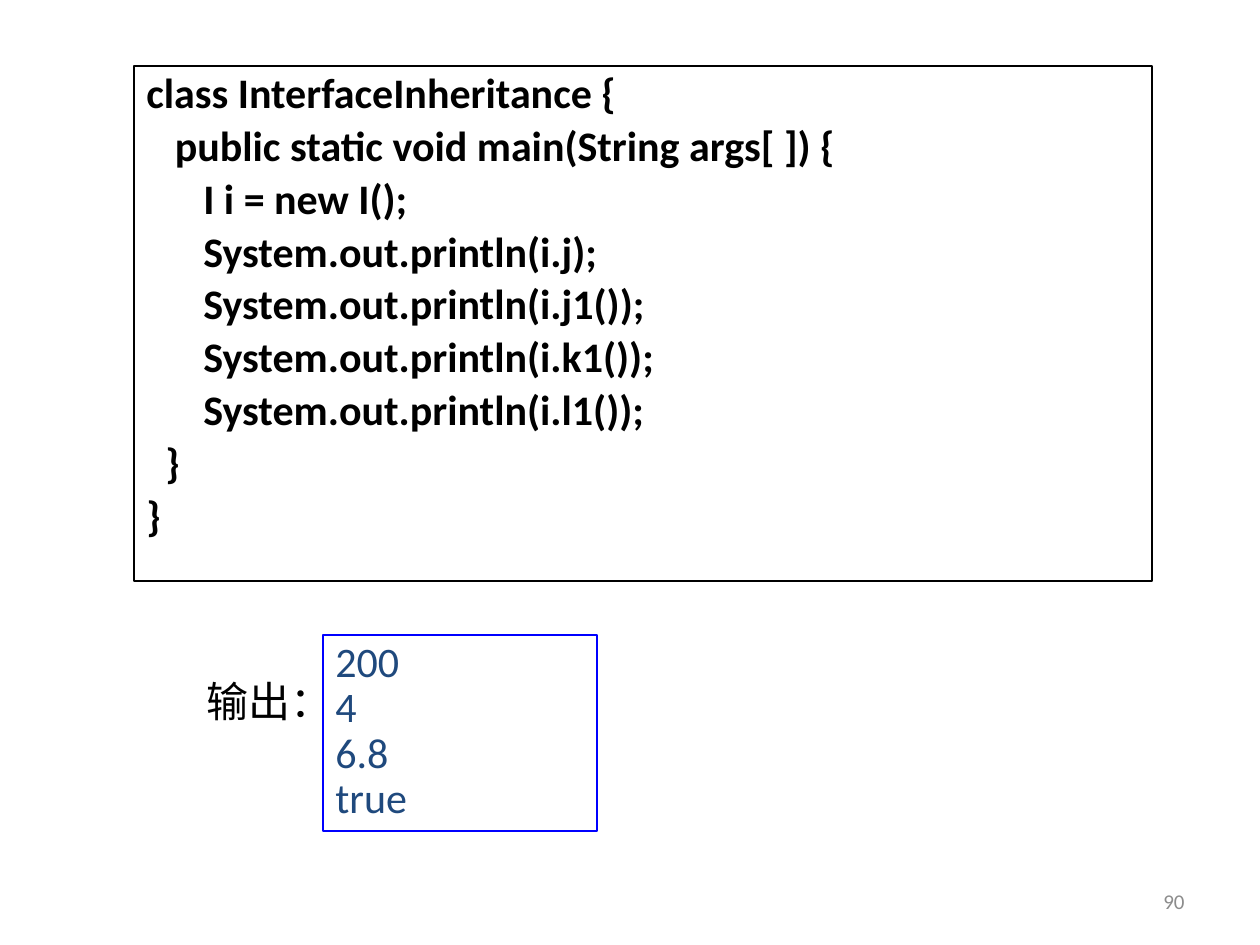
import pptx
import pptx.dml.color
import pptx.enum.text
import pptx.util

COLORS = {"black": "000000", "blue": "0000FF", "navy": "1F497D", "gray": "8C8C8C"}
FONT = "Calibri"
ALIGN = pptx.enum.text.PP_ALIGN
ANCHOR = pptx.enum.text.MSO_ANCHOR

CODE = """class InterfaceInheritance {
   public static void main(String args[ ]) {
      I i = new I();
      System.out.println(i.j);
      System.out.println(i.j1());
      System.out.println(i.k1());
      System.out.println(i.l1());
  }
}"""
OUTPUT = "200\n4\n6.8\ntrue"


def px(length):
    return pptx.util.Emu(round(length * 914400 / 126))


def rgb(name):
    return pptx.dml.color.RGBColor.from_string(COLORS[name])


def write(frame, text, size=24, color="black", bold=False, align=ALIGN.LEFT,
          line_spacing=1.0, space_before=0):
    for index, line in enumerate(text.split("\n")):
        para = frame.add_paragraph() if index else frame.paragraphs[0]
        para.alignment = align
        para.line_spacing = line_spacing
        para.space_before = pptx.util.Pt(space_before if index else 0)
        span = para.add_run()
        span.text = line
        span.font.name = FONT
        span.font.size = pptx.util.Pt(size)
        span.font.bold = bold
        span.font.color.rgb = rgb(color)


class SlideBuilder:
    def __init__(self, deck):
        self.page = deck.slides.add_slide(deck.slide_layouts[6])

    def text(self, left, top, width, height, text, wrap=True, anchor=ANCHOR.TOP, **style):
        box = self.page.shapes.add_textbox(px(left), px(top), px(width), px(height))
        box.text_frame.word_wrap = wrap
        box.text_frame.vertical_anchor = anchor
        write(box.text_frame, text, **style)
        return box

    def framed_text(self, left, top, width, height, text, border, **style):
        box = self.text(left, top, width, height, text, **style)
        box.line.color.rgb = rgb(border)
        box.line.width = pptx.util.Pt(0.75)


def main():
    deck = pptx.Presentation()
    deck.slide_width, deck.slide_height = px(1260), px(945)
    slide = SlideBuilder(deck)
    slide.framed_text(134, 66, 1018, 515, CODE, "black", bold=True,
                      line_spacing=0.9, space_before=4.3)
    slide.text(903, 876, 294, 50, "90", anchor=ANCHOR.MIDDLE, size=12,
               color="gray", align=ALIGN.RIGHT)
    slide.framed_text(323, 635, 274, 196, OUTPUT, "blue", color="navy", line_spacing=0.9)
    slide.text(194, 669, 152, 63, "输出：", wrap=False)
    deck.save("out.pptx")


if __name__ == "__main__":
    main()
